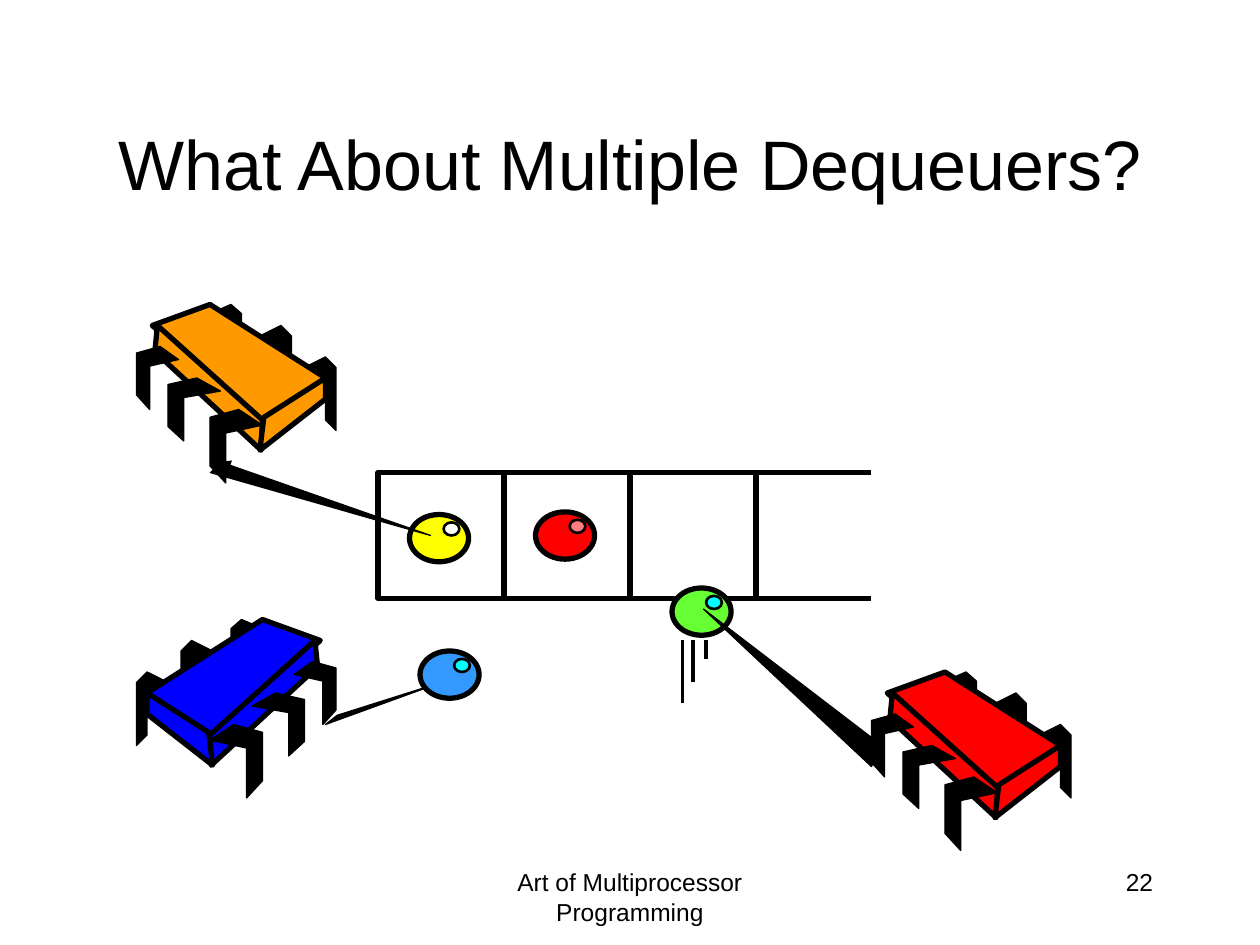
from dataclasses import dataclass

from lxml.etree import SubElement
from pptx import Presentation
from pptx.dml.color import RGBColor
from pptx.enum.shapes import MSO_CONNECTOR as Connector, MSO_SHAPE as Preset
from pptx.enum.text import MSO_ANCHOR as Anchor, PP_ALIGN as Align
from pptx.oxml.ns import qn
from pptx.util import Pt

PX = 9525
TITLE_ONLY = 5


@dataclass(frozen=True)
class Theme:
    font: str = "Arial"
    title_size: int = 40
    footer_size: int = 14
    ink: str = "000000"
    orange: str = "FF9900"
    red: str = "FF0000"
    blue: str = "0000FF"
    yellow: str = "FFFF00"
    green: str = "66FF33"
    sky: str = "3399FF"
    cyan: str = "00FFFF"
    pink: str = "FF7C80"
    white: str = "FFFFFF"
    thick: float = 3
    streak: float = 2.25
    fine: float = 1.5
    hairline: float = 0.75


THEME = Theme()

THREAD_WIDTH = 152
FAR_LEG = [(0, 8), (16, 0), (24, 8), (24, 56), (16, 48), (16, 16), (0, 24)]
NEAR_LEG = [(22, 0), (40, 12), (12, 18), (12, 56), (0, 43), (0, 6)]
FAR_LEGS = [(128, 40, 1, 56), (94, 16, 1, 56), (56, 0, 1, 48)]
NEAR_LEGS = [(56, 80, 1, 56), (24, 56, 1, 48), (0, 32, 0.8, 48)]
BODY_FACES = [
    [(56, 0), (144, 56), (95, 90), (12, 16)],
    [(16, 16), (96, 88), (95, 111), (14, 36)],
    [(144, 56), (144, 72), (94, 111), (97, 86)],
]


def px(*lengths):
    return [length * PX for length in lengths]


def rgb(code):
    return RGBColor.from_string(code)


def style(shape, fill, width):
    shape.shadow.inherit = False
    if fill:
        shape.fill.solid()
        shape.fill.fore_color.rgb = rgb(fill)
    else:
        shape.fill.background()
    shape.line.color.rgb = rgb(THEME.ink)
    shape.line.width = Pt(width)


def add_preset(shapes, preset, box, fill, width):
    style(shapes.add_shape(preset, *px(*box)), fill, width)


def add_polygon(shapes, points, fill, width, close=True):
    builder = shapes.build_freeform(*points[0], scale=PX)
    builder.add_line_segments(points[1:], close=close)
    polygon = builder.convert_to_shape()
    style(polygon, fill, width)
    return polygon


def add_line(shapes, start, end, width):
    line = shapes.add_connector(Connector.STRAIGHT, *px(*start, *end))
    line.line.color.rgb = rgb(THEME.ink)
    line.line.width = Pt(width)
    SubElement(line.element.spPr, qn("a:effectLst"))


def write(frame, text, size, align):
    frame.word_wrap = True
    frame.text = text
    paragraph = frame.paragraphs[0]
    paragraph.alignment = align
    paragraph.font.name = THEME.font
    paragraph.font.size = Pt(size)
    paragraph.font.color.rgb = rgb(THEME.ink)


def add_title(slide, text):
    title = slide.shapes.title
    title.left, title.top, title.width, title.height = px(72, 64, 816, 120)
    write(title.text_frame, text, THEME.title_size, Align.CENTER)
    title.text_frame.vertical_anchor = Anchor.MIDDLE


def add_footer(shapes, text, left, width, align):
    footer = shapes.add_textbox(*px(left, 656, width, 48))
    write(footer.text_frame, text, THEME.footer_size, align)


def add_queue(shapes):
    left, top, cell = 288, 360, 96
    for index in range(3):
        add_preset(shapes, Preset.RECTANGLE,
                   (left + index * cell, top, cell, cell), None, THEME.thick)
    for y in (top, top + cell):
        add_line(shapes, (568, y), (664, y), THEME.thick)


def add_ball(shapes, left, top, color, shine):
    ball = shapes.add_group_shape().shapes
    add_preset(ball, Preset.OVAL, (left, top, 45, 36), color, THEME.thick)
    add_preset(ball, Preset.OVAL, (left + 26, top + 6, 12, 10), shine, THEME.fine)


def add_thread(shapes, left, top, color, mirrored=False):
    thread = shapes.add_group_shape().shapes

    def place(points):
        return [(left + (THREAD_WIDTH - x if mirrored else x), top + y)
                for x, y in points]

    def add_legs(outline, legs):
        for leg_x, leg_y, stretch, height in legs:
            points = [(leg_x + round(x * stretch), leg_y + round(y * height / 56))
                      for x, y in outline]
            add_polygon(thread, place(points), THEME.ink, THEME.hairline)

    add_legs(FAR_LEG, FAR_LEGS)
    for face in BODY_FACES:
        add_polygon(thread, place(face), color, THEME.thick)
    add_legs(NEAR_LEG, NEAR_LEGS)


def add_beam(shapes, points, arrow=False):
    beam = add_polygon(shapes, points, THEME.ink, THEME.hairline, close=not arrow)
    if arrow:
        outline = beam.line._get_or_add_ln()
        SubElement(outline, qn("a:tailEnd"), type="triangle")


def add_streaks(shapes):
    for x, bottom in ((520, 536), (528, 520), (538, 502)):
        add_line(shapes, (x, 488), (x, bottom), THEME.streak)


def main():
    deck = Presentation()
    deck.slide_width, deck.slide_height = px(960, 720)
    slide = deck.slides.add_slide(deck.slide_layouts[TITLE_ONLY])
    shapes = slide.shapes

    add_footer(shapes, "22", 688, 200, Align.RIGHT)
    add_title(slide, "What About Multiple Dequeuers?")
    add_queue(shapes)
    add_ball(shapes, 512, 448, THEME.green, THEME.cyan)
    add_ball(shapes, 408, 390, THEME.red, THEME.pink)
    add_thread(shapes, 664, 512, THEME.red)
    add_beam(shapes, [(664, 584), (672, 568), (536, 464)])
    add_streaks(shapes)
    add_thread(shapes, 104, 472, THEME.blue, mirrored=True)
    add_beam(shapes, [(248, 552), (257, 545), (336, 520)])
    add_ball(shapes, 320, 496, THEME.sky, THEME.cyan)
    add_ball(shapes, 312, 392, THEME.yellow, THEME.white)
    add_thread(shapes, 104, 232, THEME.orange)
    add_beam(shapes, [(160, 360), (328, 408), (168, 352)], arrow=True)
    add_footer(shapes, "Art of Multiprocessor Programming", 328, 304, Align.CENTER)

    deck.save("out.pptx")


if __name__ == "__main__":
    main()
